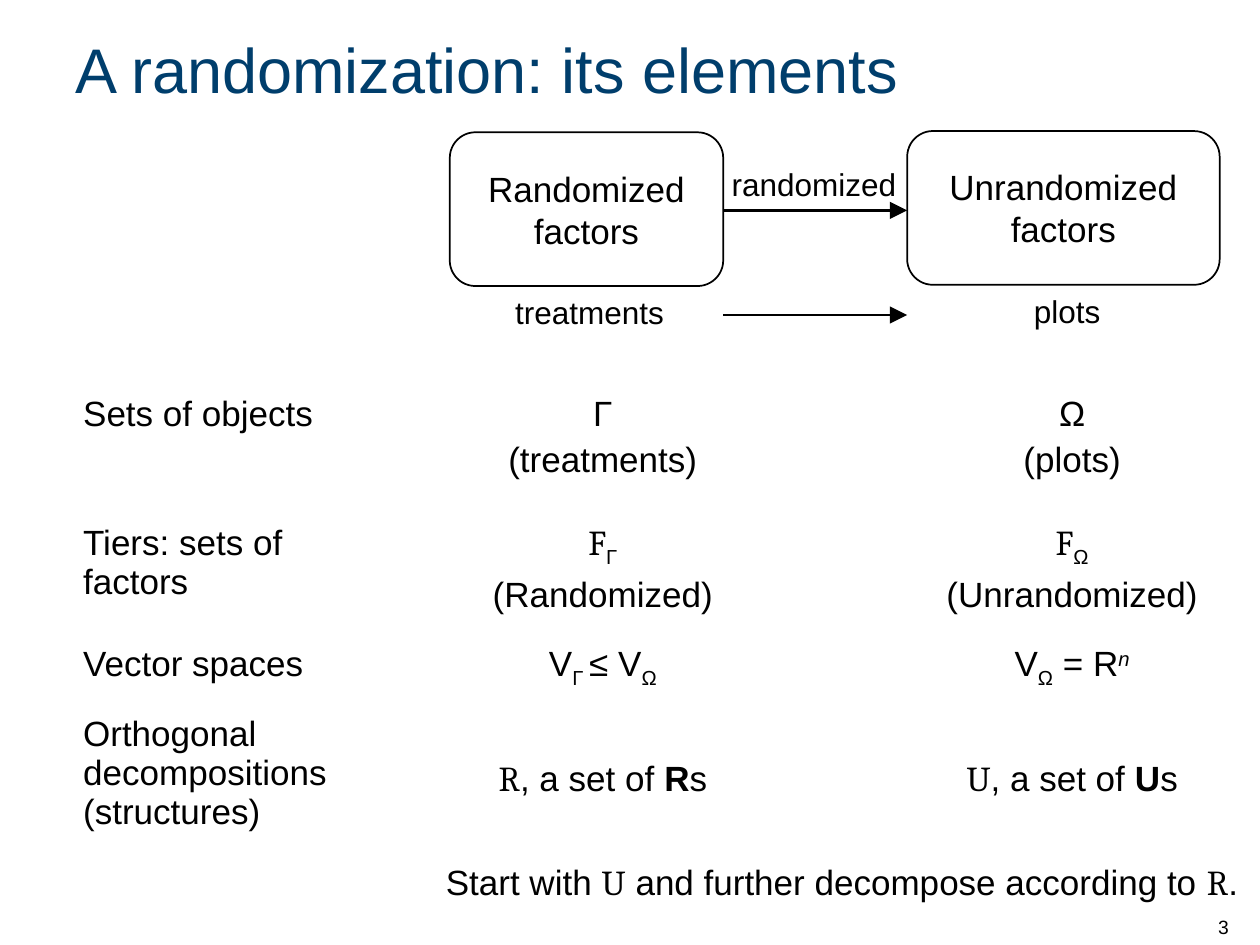
"""Builds a slide on the elements of a randomization."""
from typing import NamedTuple

from lxml.etree import SubElement
from pptx import Presentation
from pptx.dml.color import RGBColor
from pptx.enum.shapes import MSO_CONNECTOR, MSO_SHAPE
from pptx.enum.text import MSO_ANCHOR, PP_ALIGN
from pptx.oxml.ns import qn
from pptx.util import Inches, Pt


class Theme(NamedTuple):
    ink: RGBColor = RGBColor(0, 0, 0)
    heading: RGBColor = RGBColor(0x00, 0x3E, 0x6C)
    sans: str = "Arial"
    script: str = "Cambria"
    title: int = 36
    body: int = 20
    label: int = 18
    number: int = 11
    outline: float = 1
    arrow: float = 1.5


class Box(NamedTuple):
    left: float
    top: float
    width: float
    height: float


class Span(NamedTuple):
    text: str
    font: str = Theme().sans
    shift: int = 0
    bold: bool = False
    italic: bool = False


class Element(NamedTuple):
    top: float
    height: float
    heading: str
    randomized: list
    unrandomized: list
    drop: float = 0


THEME = Theme()
COLUMNS, ROWS = 10, 7.5
TABLE_LEFT = 0.56
TABLE_COLUMNS = (2.69, 3.07, 0.7, 2.98)

deck = Presentation()
deck.slide_width, deck.slide_height = Inches(10), Inches(7.5)
slide = deck.slides.add_slide(deck.slide_layouts[6])


def across(columns: float) -> int:
    """Turn grid columns into a length."""
    return round(deck.slide_width * columns / COLUMNS)


def down(rows: float) -> int:
    """Turn grid rows into a length."""
    return round(deck.slide_height * rows / ROWS)


def place(box: Box) -> tuple:
    """Turn a grid box into left, top, width and height."""
    return across(box.left), down(box.top), across(box.width), down(box.height)


def script(letter: str) -> Span:
    """Make a letter in the script face."""
    return Span(letter, THEME.script)


def sub(letter: str) -> Span:
    """Make a subscript."""
    return Span(letter, shift=-25)


def write(frame, lines: list, *, size: int = THEME.body, color: RGBColor = THEME.ink,
          align=PP_ALIGN.LEFT, gap: float = 0) -> None:
    """Write paragraphs, each a string or a list of spans, into a text frame."""
    for index, line in enumerate(lines):
        paragraph = frame.paragraphs[0] if index == 0 else frame.add_paragraph()
        paragraph.alignment = align
        if index:
            paragraph.space_before = Pt(gap)
        for span in [Span(line)] if isinstance(line, str) else line:
            for part, words in enumerate(span.text.split("\n")):
                if part:
                    paragraph.add_line_break()
                run = paragraph.add_run()
                run.text = words
                font = run.font
                font.name, font.size, font.color.rgb = span.font, Pt(size), color
                font.bold, font.italic = span.bold, span.italic
                if span.shift:
                    run._r.get_or_add_rPr().set("baseline", str(span.shift * 1000))


def add_text(box: Box, lines: list, anchor=MSO_ANCHOR.TOP, **style) -> None:
    """Add a wrapping text box."""
    frame = slide.shapes.add_textbox(*place(box)).text_frame
    frame.word_wrap = True
    frame.vertical_anchor = anchor
    write(frame, lines, **style)


def add_factor_panel(box: Box, lines: list) -> None:
    """Add a rounded outline around the name of a set of factors."""
    panel = slide.shapes.add_shape(MSO_SHAPE.ROUNDED_RECTANGLE, *place(box))
    panel.shadow.inherit = False
    panel.fill.background()
    panel.line.color.rgb = THEME.ink
    panel.line.width = Pt(THEME.outline)
    panel.text_frame.word_wrap = False
    panel.text_frame.vertical_anchor = MSO_ANCHOR.MIDDLE
    write(panel.text_frame, lines, align=PP_ALIGN.CENTER)


def add_arrow(start: float, end: float, row: float) -> None:
    """Add a level arrow pointing right."""
    arrow = slide.shapes.add_connector(
        MSO_CONNECTOR.STRAIGHT, across(start), down(row), across(end), down(row))
    arrow.line.color.rgb = THEME.ink
    arrow.line.width = Pt(THEME.arrow)
    SubElement(arrow.line._get_or_add_ln(), qn("a:tailEnd"),
               type="triangle", w="lg", len="lg")
    SubElement(arrow._element.spPr, qn("a:effectLst"))


def add_element(element: Element) -> None:
    """Add one element of the randomization as a one-row table."""
    box = Box(TABLE_LEFT, element.top, sum(TABLE_COLUMNS), element.height)
    table = slide.shapes.add_table(1, len(TABLE_COLUMNS), *place(box)).table
    table.first_row = table.horz_banding = False
    for column, width in zip(table.columns, TABLE_COLUMNS):
        column.width = across(width)
    for cell in table.iter_cells():
        cell.fill.background()
    heading, randomized, _, unrandomized = table.iter_cells()
    heading.margin_right = across(0.3)
    write(heading.text_frame, [element.heading])
    for cell, lines in ((randomized, element.randomized),
                        (unrandomized, element.unrandomized)):
        cell.margin_top = down(0.05 + element.drop)
        write(cell.text_frame, lines, align=PP_ALIGN.CENTER, gap=4)


ELEMENTS = [
    Element(3.08, 0.94, "Sets of objects", ["Γ", "(treatments)"], ["Ω", "(plots)"]),
    Element(4.11, 0.92, "Tiers: sets of factors",
            [[script("F"), sub("Γ")], "(Randomized)"],
            [[script("F"), sub("Ω")], "(Unrandomized)"]),
    Element(5.07, 0.59, "Vector spaces",
            [[Span("V"), sub("Γ "), Span("≤ V"), sub("Ω")]],
            [[Span("V"), sub("Ω"), Span(" = R"), Span("n", shift=30, italic=True)]]),
    Element(5.62, 1.1, "Orthogonal decompositions\n(structures)",
            [[script("R"), Span(", a set of "), Span("R", bold=True), Span("s")]],
            [[script("U"), Span(", a set of "), Span("U", bold=True), Span("s")]],
            drop=0.36),
]
LABELS = [
    ("randomized", Box(5.31, 1.26, 2.3, 0.4)),
    ("treatments", Box(3.53, 2.28, 2.3, 0.4)),
    ("plots", Box(7.32, 2.27, 2.3, 0.4)),
]


def main() -> None:
    """Draw the slide and save it."""
    add_text(Box(0.5, 0.09, 9, 0.9), ["A randomization: its elements"],
             MSO_ANCHOR.MIDDLE, size=THEME.title, color=THEME.heading)
    for element in ELEMENTS:
        add_element(element)
    add_factor_panel(Box(3.57, 1.05, 2.17, 1.22), ["Randomized\nfactors"])
    add_factor_panel(Box(7.2, 1.04, 2.48, 1.22), ["Unrandomized", "factors"])
    for row in (1.67, 2.5):
        add_arrow(5.74, 7.2, row)
    for label, box in LABELS:
        add_text(box, [label], size=THEME.label, align=PP_ALIGN.CENTER)
    add_text(Box(3.44, 6.78, 6.56, 0.43),
             [[Span("Start with "), script("U"),
               Span(" and further decompose according to "), script("R"), Span(".")]])
    add_text(Box(9.57, 7, 0.42, 0.5), ["3"], MSO_ANCHOR.BOTTOM, size=THEME.number)
    deck.save("out.pptx")


if __name__ == "__main__":
    main()
